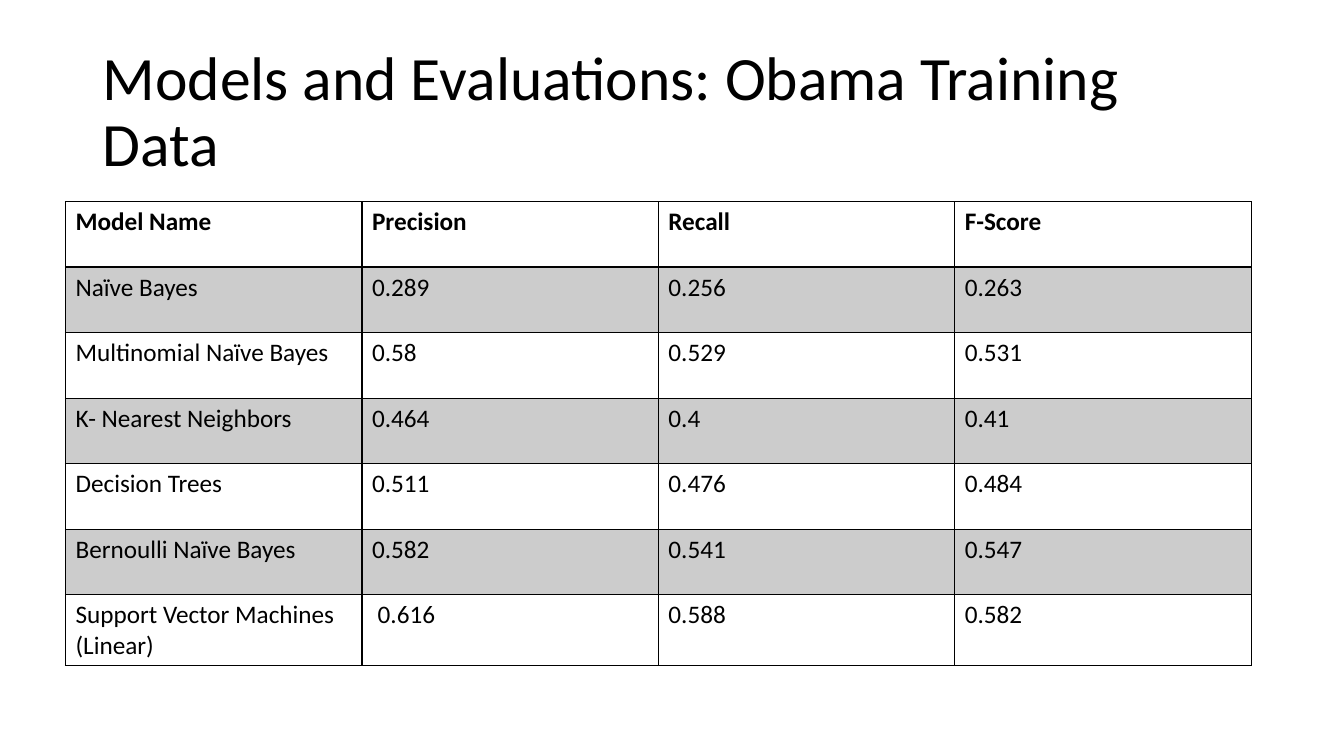
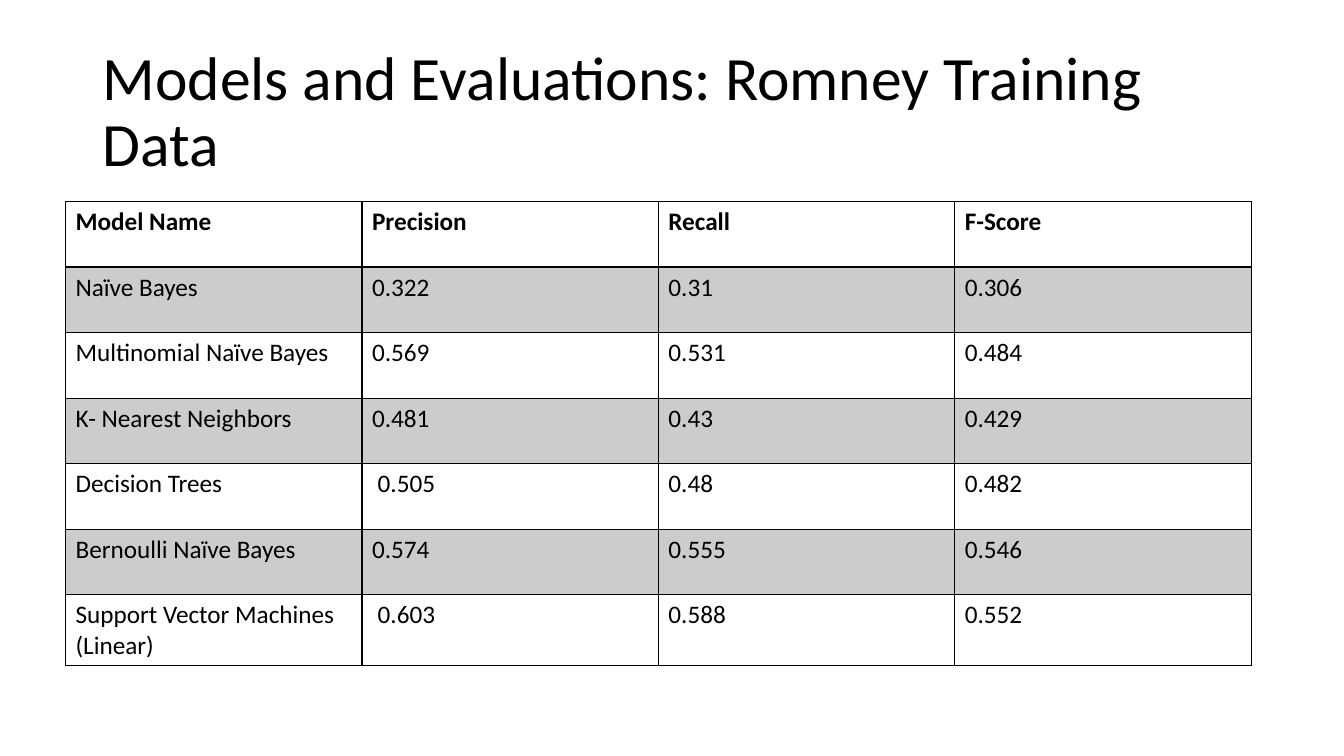
from lxml.etree import SubElement
from pptx import Presentation
from pptx.dml.color import RGBColor
from pptx.enum.text import MSO_ANCHOR
from pptx.oxml.ns import qn
from pptx.util import Inches, Pt

INK, PAPER, BAND = "000000", "FFFFFF", "CCCCCC"
FONT = "Calibri"


def paint(color, value):
    color.rgb = RGBColor.from_string(value)


def write(frame, text, size=18, bold=False, color=INK, space=None):
    frame.word_wrap = True
    for i, line in enumerate(text.split("\n")):
        para = frame.paragraphs[0] if i == 0 else frame.add_paragraph()
        para.line_spacing = space
        run = para.add_run()
        run.text = line
        run.font.name = FONT
        run.font.size = Pt(size)
        run.font.bold = bold
        paint(run.font.color, color)


heads = ["Model Name", "Precision", "Recall", "F-Score"]
models = [
    "Naïve Bayes",
    "Multinomial Naïve Bayes",
    "K- Nearest Neighbors",
    "Decision Trees",
    "Bernoulli Naïve Bayes",
    "Support Vector Machines\n(Linear)",
]
scores = {
    "Obama": [
        ["0.289", "0.256", "0.263"],
        ["0.58", "0.529", "0.531"],
        ["0.464", "0.4", "0.41"],
        ["0.511", "0.476", "0.484"],
        ["0.582", "0.541", "0.547"],
        [" 0.616", "0.588", "0.582"],
    ],
    "Romney": [
        ["0.322", "0.31", "0.306"],
        ["0.569", "0.531", "0.484"],
        ["0.481", "0.43", "0.429"],
        [" 0.505", "0.48", "0.482"],
        ["0.574", "0.555", "0.546"],
        [" 0.603", "0.588", "0.552"],
    ],
}

deck = Presentation()
deck.slide_width, deck.slide_height = Inches(13.33), Inches(7.5)

for name, marks in scores.items():
    slide = deck.slides.add_slide(deck.slide_layouts[6])

    title = slide.shapes.add_textbox(
        Inches(0.92), Inches(0.4), Inches(11.5), Inches(1.45)
    ).text_frame
    title.vertical_anchor = MSO_ANCHOR.MIDDLE
    write(title, f"Models and Evaluations: {name} Training Data", size=44, space=0.9)

    rows = [heads] + [[model] + line for model, line in zip(models, marks)]
    table = slide.shapes.add_table(
        len(rows), len(heads),
        Inches(0.65), Inches(2), Inches(11.76), Inches(0.65 * len(rows)),
    ).table
    table.horz_banding = False

    for r, row in enumerate(rows):
        table.rows[r].height = Inches(0.65)
        for c, text in enumerate(row):
            cell = table.cell(r, c)
            write(cell.text_frame, text, bold=r == 0)
            props = cell._tc.get_or_add_tcPr()
            for side in ("lnL", "lnR", "lnT", "lnB"):
                thick = (r, side) in [(0, "lnB"), (1, "lnT")]
                edge = SubElement(props, qn(f"a:{side}"), w=str(Pt(2 if thick else 1)))
                fill = SubElement(edge, qn("a:solidFill"))
                SubElement(fill, qn("a:srgbClr"), val=INK)
            cell.fill.solid()
            paint(cell.fill.fore_color, BAND if r % 2 else PAPER)

deck.save("out.pptx")
